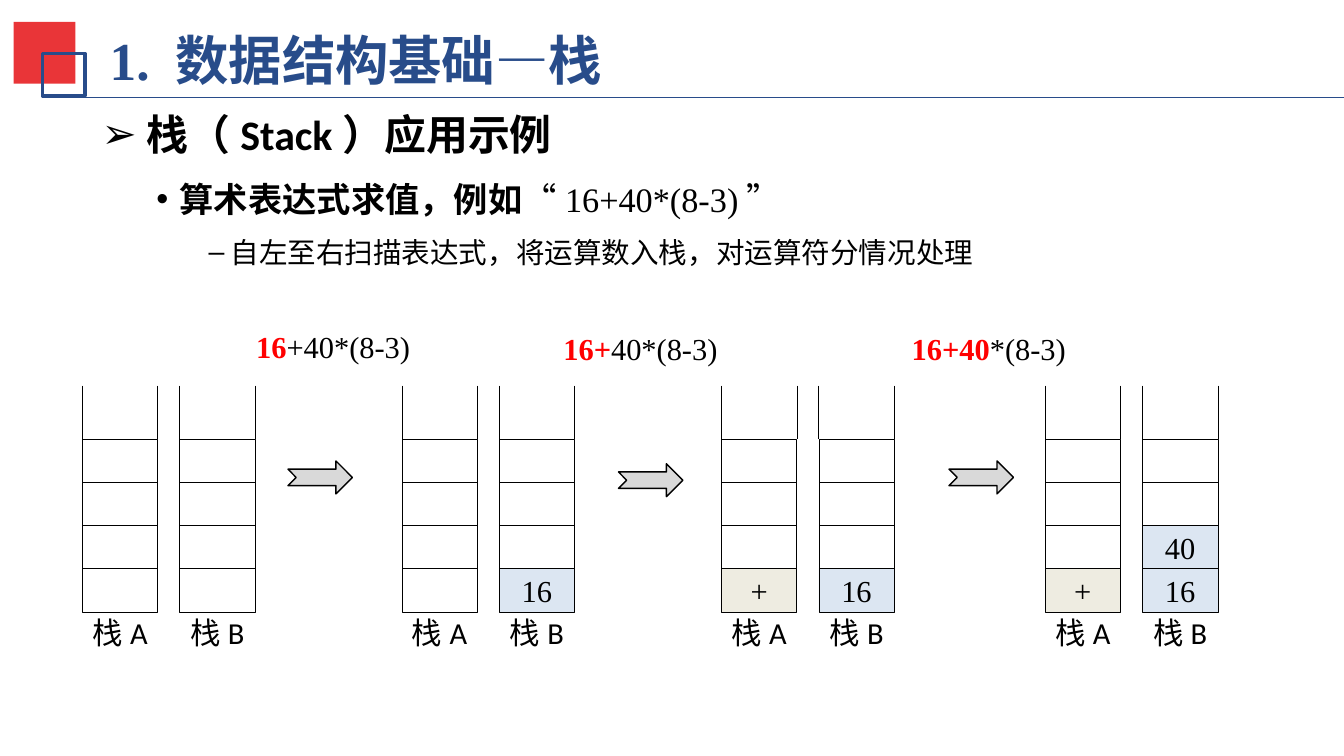
from lxml import etree
from pptx import Presentation
from pptx.dml.color import RGBColor
from pptx.enum.shapes import MSO_CONNECTOR, MSO_SHAPE
from pptx.enum.text import MSO_ANCHOR, MSO_AUTO_SIZE, PP_ALIGN
from pptx.oxml.ns import qn
from pptx.util import Inches, Pt

RECT, ARROW = MSO_SHAPE.RECTANGLE, MSO_SHAPE.NOTCHED_RIGHT_ARROW
STRAIGHT = MSO_CONNECTOR.STRAIGHT
MIDDLE, TOP = MSO_ANCHOR.MIDDLE, MSO_ANCHOR.TOP
LEFT, CENTER = PP_ALIGN.LEFT, PP_ALIGN.CENTER
FIXED = MSO_AUTO_SIZE.NONE

# Content
W, H = 9.8, 5.51
BLUE, RED, BLACK = "284C8A", "E93538", "000000"
SERIF, SANS, HEAD = "Times New Roman", "Calibri", "Arial"
TITLE = [("1. ", SERIF), ("数据结构基础—栈", HEAD)]
# level, bullet, text left, hanging indent, size, line spacing, runs (text, font, bold)
BODY = [
    (0, "➢", 0.33, 0.33, 22, 1.0, [("栈（Stack）应用示例", SANS, True)]),
    (0, "•", 0.57, 0.17, 18, 1.3, [("算术表达式求值，例如", SANS, True), ("“", SANS, False),
                                   ("16+40*(8-3)", SERIF, False), ("”", SANS, False)]),
    (1, "–", 0.94, 0.16, 15, 1.3,
     [("自左至右扫描表达式，将运算数入栈，对运算符分情况处理", SANS, False)]),
]
# left edge of each step, contents of stacks A and B from the bottom up
STEPS = [(0.6, [], []), (2.93, [], ["16"]), (5.26, ["+"], ["16"]), (7.62, ["+"], ["16", "40"])]
# scanned part, remaining part, left, top, arrow top
SCANS = [("16", "+40*(8-3)", 1.77, 2.34, 3.36), ("16+", "40*(8-3)", 4.01, 2.36, 3.38),
         ("16+40", "*(8-3)", 6.55, 2.36, 3.36)]
STACK_FILLS = {"A": "EEECE1", "B": "DCE6F2"}

# Stack grid
CELL_W, CELL_H, CELLS = 0.55, 0.315, 4
STACK_GAP, RIM_TOP, CELL_TOP = 0.71, 2.81, 3.2
LABEL_W, LABEL_H = 0.61, 0.37
ARROW_LEFT, ARROW_STEP = 2.1, 2.41


def color(value):
    return RGBColor.from_string(value)


def box(*lengths):
    return [Inches(v) for v in lengths]


def place(shape, *lengths):
    shape.left, shape.top, shape.width, shape.height = box(*lengths)


def setup(tf, insets, anchor=TOP, wrap=True):
    tf.margin_left = tf.margin_right = Inches(insets[0])
    tf.margin_top = tf.margin_bottom = Inches(insets[1])
    tf.vertical_anchor, tf.word_wrap, tf.auto_size = anchor, wrap, FIXED


def add_run(p, text, size=16, font=SERIF, fill=BLACK, bold=False):
    r = p.add_run()
    r.text = text
    r.font.size, r.font.name, r.font.bold = Pt(size), font, bold
    r.font.color.rgb = color(fill)


def add_box(parent, kind, at, fill=None, line=None, width=0.25):
    shape = parent.add_shape(kind, *box(*at))
    shape.shadow.inherit = False
    if fill:
        shape.fill.solid()
        shape.fill.fore_color.rgb = color(fill)
    else:
        shape.fill.background()
    if line:
        shape.line.color.rgb = color(line)
        shape.line.width = Pt(width)
    else:
        shape.line.fill.background()
    return shape


def add_line(parent, ends, line=BLACK, width=0.25):
    c = parent.add_connector(STRAIGHT, *box(*ends))
    c.line.color.rgb = color(line)
    c.line.width = Pt(width)
    etree.SubElement(c._element.spPr, qn("a:effectLst"))


def set_bullet(p, char, left, hang):
    pPr = p._p.get_or_add_pPr()
    pPr.set("marL", str(Inches(left)))
    pPr.set("indent", str(-Inches(hang)))
    etree.SubElement(pPr, qn("a:buFont"), typeface=HEAD)
    etree.SubElement(pPr, qn("a:buChar"), char=char)


def add_stack(s, name, left, values):
    parts = s.shapes.add_group_shape().shapes
    for x in (left, left + CELL_W):
        add_line(parts, (x, RIM_TOP, x, CELL_TOP))
    for row in range(CELLS):
        depth = CELLS - 1 - row
        filled = depth < len(values)
        cell = add_box(parts, RECT, (left, CELL_TOP + row * CELL_H, CELL_W, CELL_H),
                       STACK_FILLS[name] if filled else None, BLACK)
        if filled:
            setup(cell.text_frame, (0, 0), MIDDLE)
            p = cell.text_frame.paragraphs[0]
            p.alignment = CENTER
            add_run(p, values[depth])
    label = parts.add_textbox(*box(left + (CELL_W - LABEL_W) / 2, 4.43, LABEL_W, LABEL_H))
    setup(label.text_frame, (0, 0.05))
    p = label.text_frame.paragraphs[0]
    p.alignment = CENTER
    add_run(p, "栈" + name, font=SANS)


prs = Presentation()
prs.slide_width, prs.slide_height = box(W, H)
s = prs.slides.add_slide(prs.slide_layouts[1])
title, body = s.placeholders

# Title with its squares and rule
place(title, 0.73, 0.16, 6.91, 0.55)
setup(title.text_frame, (0.07, 0.04), MIDDLE)
p = title.text_frame.paragraphs[0]
p.alignment = LEFT
for text, font in TITLE:
    add_run(p, text, 28, font, BLUE, True)
add_box(s.shapes, RECT, (0.1, 0.16, 0.45, 0.45), RED)
add_box(s.shapes, RECT, (0.31, 0.39, 0.31, 0.31), None, BLUE, 2)
add_line(s.shapes, (0.38, 0.71, W, 0.71), BLUE, 0.75)

# Bulleted text
place(body, 0.65, 0.75, 8.59, 1.61)
tf = body.text_frame
setup(tf, (0.09, 0.04))
for i, (level, char, left, hang, size, spacing, runs) in enumerate(BODY):
    p = tf.add_paragraph() if i else tf.paragraphs[0]
    p.level, p.line_spacing, p.space_before = level, spacing, Pt(size * 0.2)
    set_bullet(p, char, left, hang)
    for text, font, bold in runs:
        add_run(p, text, size, font, BLACK, bold)

# Stack pairs, one per step
for left, a, b in STEPS:
    add_stack(s, "A", left, a)
    add_stack(s, "B", left + STACK_GAP, b)

# Arrows and scanned expressions between the steps
for i, (done, rest, left, top, arrow_top) in enumerate(SCANS):
    add_box(s.shapes, ARROW, (ARROW_LEFT + i * ARROW_STEP, arrow_top, 0.47, 0.24),
            "D9D9D9", BLACK, 0.75)
    tf = s.shapes.add_textbox(*box(left, top, 1.34, LABEL_H)).text_frame
    setup(tf, (0.1, 0.05), wrap=False)
    add_run(tf.paragraphs[0], done, fill="FF0000", bold=True)
    add_run(tf.paragraphs[0], rest)

prs.save("out.pptx")
